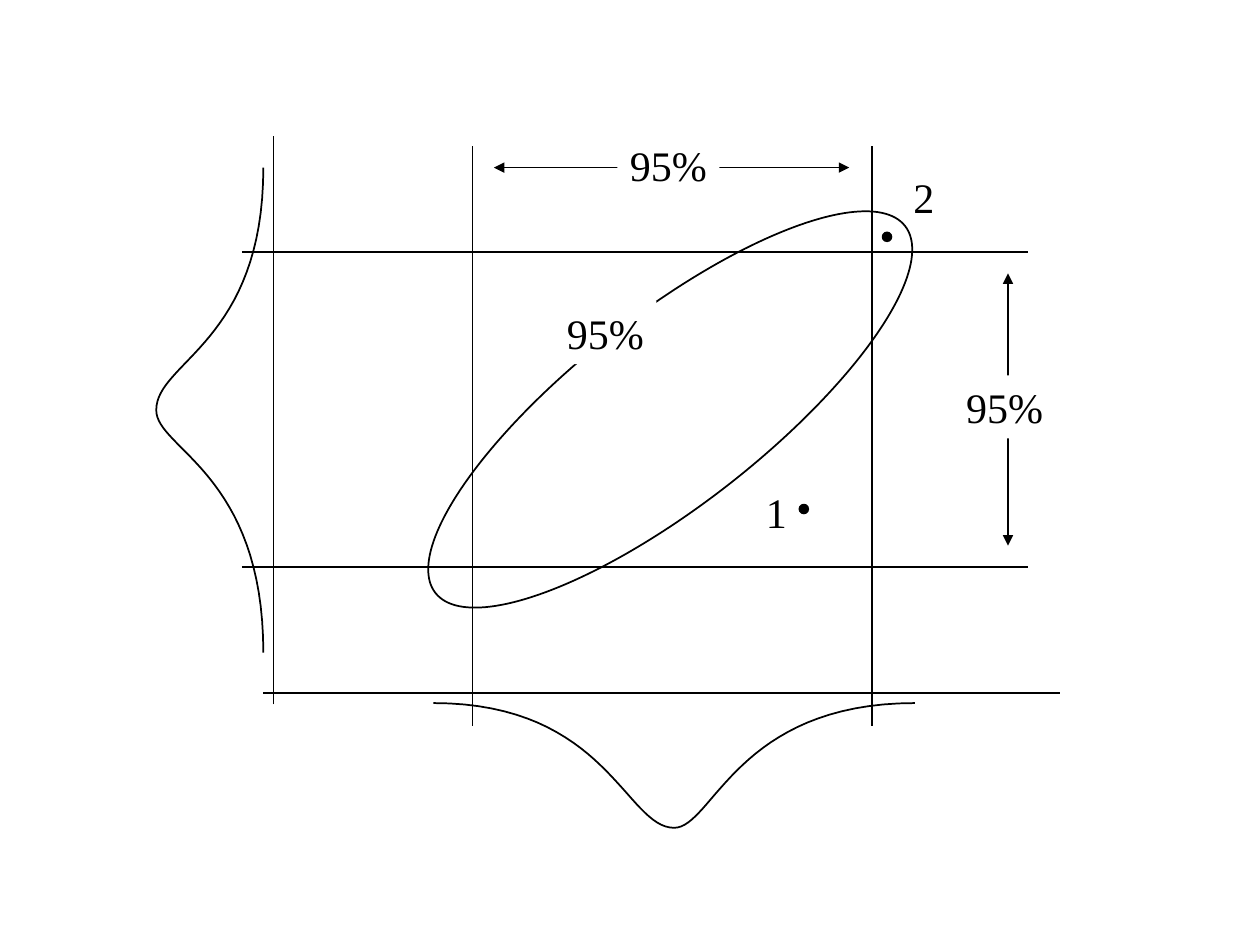
from lxml.etree import SubElement
from pptx import Presentation
from pptx.dml.color import RGBColor
from pptx.enum.shapes import MSO_CONNECTOR as CONNECTOR, MSO_SHAPE as SHAPE
from pptx.oxml.ns import qn
from pptx.util import Inches, Pt

COLUMNS, ROWS = 10, 7.5  # grid of one-inch cells
CURVE_STEPS = 32  # per half of a bell curve


def color(hex_string):
    return RGBColor.from_string(hex_string)


def cubic(controls, t):
    """Value of a one-dimensional cubic Bezier at t."""
    a, b, c, d = controls
    s = 1 - t
    return s**3 * a + 3 * s * s * t * b + 3 * s * t * t * c + t**3 * d


def bell_points():
    """Points (along, height) of a slightly skewed bell, both from 0 to 1."""
    halves = [((0, 0.36, 0.4, 0.5), (0, 0, 1, 1)),
              ((0.5, 0.58, 0.63, 1), (1, 1, 0, 0))]
    return [(cubic(along, step / CURVE_STEPS), cubic(height, step / CURVE_STEPS))
            for along, height in halves for step in range(CURVE_STEPS + 1)]


class Diagram:
    ink, paper = "000000", "FFFFFF"
    line_width = Pt(1)
    font_format = {"name": "Times New Roman", "size": Pt(24)}
    label_height = 0.5

    def __init__(self, slide):
        self.slide = slide
        self.shapes = slide.shapes

    def outline(self, shape):
        shape.line.color.rgb = color(self.ink)
        shape.line.width = self.line_width

    def line(self, start, end, arrows=False):
        ends = [Inches(value) for value in (*start, *end)]
        connector = self.shapes.add_connector(CONNECTOR.STRAIGHT, *ends)
        self.outline(connector)
        if arrows:
            for tag in ("a:headEnd", "a:tailEnd"):
                SubElement(connector.line._get_or_add_ln(), qn(tag), type="triangle")
        SubElement(connector._element.spPr, qn("a:effectLst"))

    def ellipse(self, center, size, rotation=0, fill=None):
        corner = [middle - length / 2 for middle, length in zip(center, size)]
        box = [Inches(value) for value in (*corner, *size)]
        shape = self.shapes.add_shape(SHAPE.OVAL, *box)
        shape.rotation = rotation
        if fill:
            shape.fill.solid()
            shape.fill.fore_color.rgb = color(fill)
        else:
            shape.fill.background()
        self.outline(shape)
        shape.shadow.inherit = False

    def label(self, text, left, top, width, fill=None):
        box = [Inches(value) for value in (left, top, width, self.label_height)]
        shape = self.shapes.add_textbox(*box)
        if fill:
            shape.fill.solid()
            shape.fill.fore_color.rgb = color(fill)
        shape.text_frame.word_wrap = False
        run = shape.text_frame.paragraphs[0].add_run()
        run.text = text
        for name, value in self.font_format.items():
            setattr(run.font, name, value)
        run.font.color.rgb = color(self.ink)

    def curve(self, points):
        points = [(Inches(x), Inches(y)) for x, y in points]
        builder = self.shapes.build_freeform(*points[0])
        builder.add_line_segments(points[1:], close=False)
        shape = builder.convert_to_shape()
        shape.fill.background()
        self.outline(shape)
        shape.shadow.inherit = False


def main():
    presentation = Presentation()
    presentation.slide_width = Inches(COLUMNS)
    presentation.slide_height = Inches(ROWS)
    diagram = Diagram(presentation.slides.add_slide(presentation.slide_layouts[6]))

    diagram.ellipse((5.32, 3.25), (4.73, 1.51), rotation=322)

    for limit_row in (2, 4.5):
        diagram.line((1.92, limit_row), (8.16, limit_row))
    for limit_column in (3.75, 6.92):
        diagram.line((limit_column, 5.76), (limit_column, 1.16))
    diagram.line((2.09, 5.5), (8.41, 5.5))
    diagram.line((2.17, 5.59), (2.17, 1.08))

    for center in ((6.38, 4.04), (7.04, 1.88)):
        diagram.ellipse(center, (0.07, 0.07), fill=diagram.ink)
    for text, left, top in (("1", 5.98, 3.81), ("2", 7.15, 1.31)):
        diagram.label(text, left, top, 0.36)

    diagram.line((8, 2.17), (8, 4.33), arrows=True)
    diagram.line((3.92, 1.33), (6.74, 1.33), arrows=True)
    for left, top in ((4.4, 2.39), (7.57, 2.98), (4.9, 1.06)):
        diagram.label("95%", left, top, 0.81, fill=diagram.paper)

    bell = bell_points()
    diagram.curve([(2.09 - 0.85 * height, 1.33 + 3.85 * along) for along, height in bell])
    diagram.curve([(3.44 + 3.82 * along, 5.58 + 0.99 * height) for along, height in bell])

    presentation.save("out.pptx")


if __name__ == "__main__":
    main()
